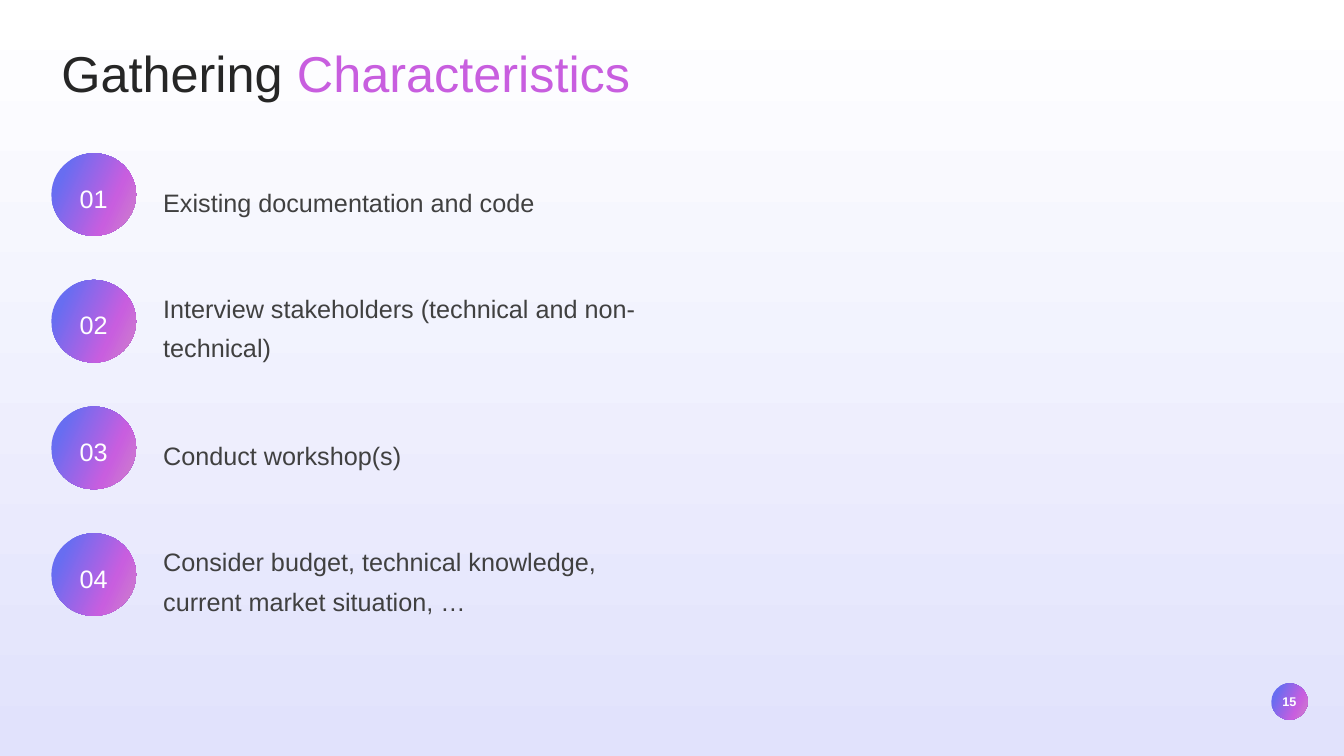
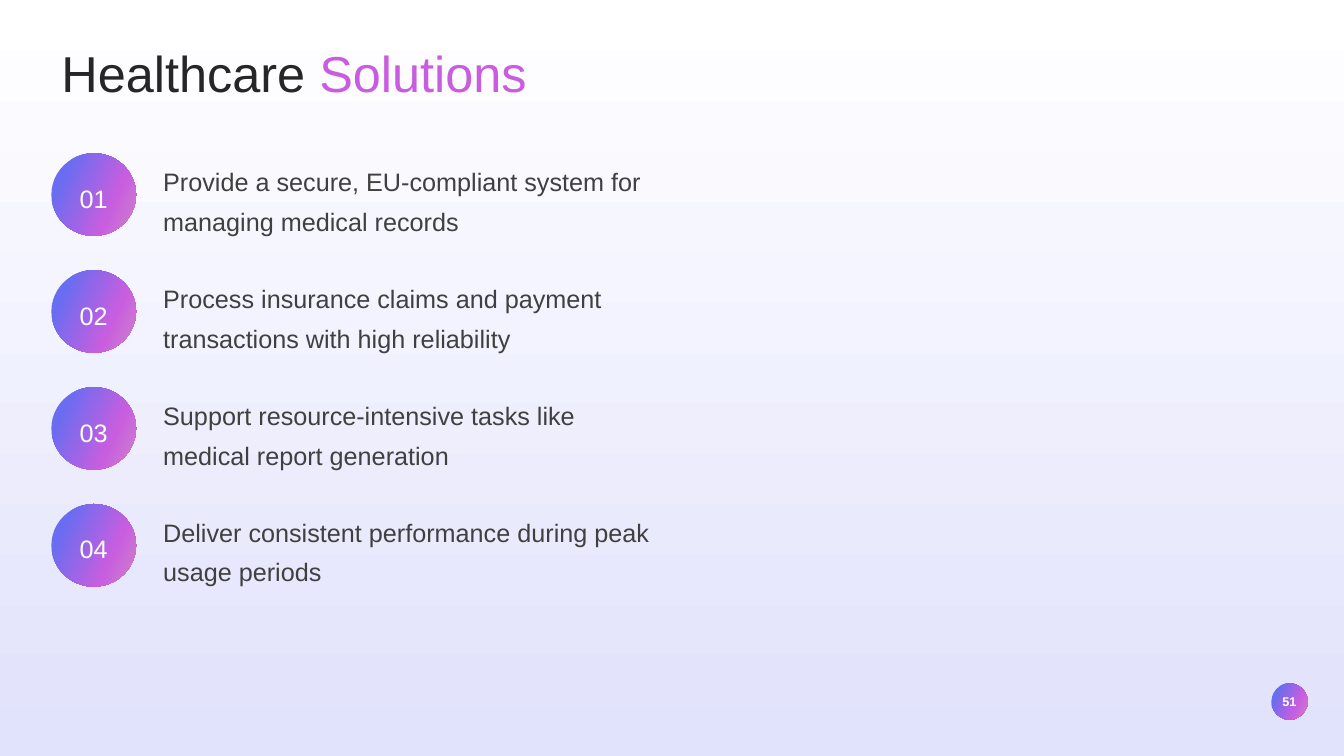
"""Build two slides of numbered points on a soft lilac background."""
from copy import deepcopy

from pptx import Presentation
from pptx.dml.color import RGBColor
from pptx.enum.shapes import MSO_SHAPE as Shape
from pptx.enum.text import MSO_ANCHOR as Anchor, MSO_AUTO_SIZE as AutoSize, PP_ALIGN as Align
from pptx.util import Inches, Pt

COLORS = {
    "title": "262626",
    "body": "404040",
    "light": "FFFFFF",
    "haze": "E1E2FC",
    "blue": "686DF1",
    "deep_blue": "1921EA",
    "orchid": "C85EDF",
    "pink": "CE84CA",
}
BACKGROUND = [(0, "light"), (1, "haze")]
CIRCLE_FILL = [(0.17, "blue"), (0.69, "orchid"), (1, "pink")]
ACCENT_FILL = [(0.17, "deep_blue"), (0.69, "orchid"), (1, "pink")]
FONT = "Arial"

SLIDES = [
    {
        "title": ("Gathering ", "Characteristics"),
        "number": 15,
        "last_top": 5.29,
        "items": [
            ("Existing documentation and code", 1),
            ("Interview stakeholders (technical and non-technical)", 2),
            ("Conduct workshop(s)", 1),
            ("Consider budget, technical knowledge, current market situation, …", 2),
        ],
    },
    {
        "title": ("Healthcare ", "Solutions"),
        "number": 51,
        "last_top": 5,
        "items": [
            ("Provide a secure, EU-compliant system for managing medical records", 2),
            ("Process insurance claims and payment transactions with high reliability", 2),
            ("Support resource-intensive tasks like medical report generation", 2),
            ("Deliver consistent performance during peak usage periods", 2),
        ],
    },
]


def paint_gradient(fill, element, stops, angle):
    """Fill with colour stops; the angle runs counter-clockwise."""
    fill.gradient()
    fill.gradient_angle = angle
    stop_list = element.xpath(".//a:gsLst")[0]
    while len(stop_list) < len(stops):
        stop_list.append(deepcopy(stop_list[-1]))
    for stop, (position, color) in zip(fill.gradient_stops, stops):
        stop.position = position
        stop.color.rgb = RGBColor.from_string(COLORS[color])


def write(para, text, size=18, color="body", bold=False, gradient=None):
    """Add one formatted span to a paragraph."""
    span = para.add_run()
    span.text = text
    span.font.name = FONT
    span.font.size = Pt(size)
    span.font.bold = bold
    if gradient:
        paint_gradient(span.font.fill, span._r, gradient, 335)
    else:
        span.font.color.rgb = RGBColor.from_string(COLORS[color])


class Builder:
    """Hold the deck, its style and the current page."""

    def __init__(self):
        """Start a widescreen deck with the shared background."""
        self.deck = Presentation()
        self.deck.slide_width = Inches(13.33)
        self.deck.slide_height = Inches(7.5)
        self.page = None
        master = self.deck.slide_master
        paint_gradient(master.background.fill, master.element, BACKGROUND, 270)

    def add_page(self, title, number):
        """Add a page with a two-tone title and a number badge."""
        self.page = self.deck.slides.add_slide(self.deck.slide_layouts[5])
        box = self.page.shapes.title
        box.left, box.top = Inches(0.51), Inches(0.37)
        box.width, box.height = Inches(6.51), Inches(0.71)
        frame = box.text_frame
        frame.vertical_anchor = Anchor.TOP
        frame.auto_size = AutoSize.SHAPE_TO_FIT_TEXT
        para = frame.paragraphs[0]
        para.alignment = Align.LEFT
        plain, accent = title
        write(para, plain, size=36, color="title")
        write(para, accent, size=36, gradient=ACCENT_FILL)
        self.add_circle(str(number), 12.61, 6.78, 0.36, 0.36, size=9, bold=True)

    def add_circle(self, text, left, top, width, height, inset_top=0, inset_bottom=0, **style):
        """Add a gradient circle with a centred light label."""
        circle = self.page.shapes.add_shape(
            Shape.OVAL, Inches(left), Inches(top), Inches(width), Inches(height))
        circle.shadow.inherit = False
        circle.line.fill.background()
        paint_gradient(circle.fill, circle._element, CIRCLE_FILL, 335)
        frame = circle.text_frame
        frame.word_wrap = False
        frame.vertical_anchor = Anchor.MIDDLE
        frame.margin_left = frame.margin_right = 0
        frame.margin_top, frame.margin_bottom = Inches(inset_top), Inches(inset_bottom)
        para = frame.paragraphs[0]
        para.alignment = Align.CENTER
        write(para, text, color="light", **style)

    def add_body(self, text, top, height):
        """Add the wrapped text beside a circle."""
        box = self.page.shapes.add_textbox(Inches(1.52), Inches(top), Inches(5.08), Inches(height))
        frame = box.text_frame
        frame.word_wrap = True
        frame.auto_size = AutoSize.SHAPE_TO_FIT_TEXT
        para = frame.paragraphs[0]
        para.line_spacing = 1.3
        para.space_after = Pt(8)
        write(para, text)

    def add_items(self, items, last_top):
        """Spread numbered items evenly down to the last top edge."""
        first_top, circle_height = 1.52, 0.82
        pitch = (last_top - first_top) / (len(items) - 1)
        for index, (text, lines) in enumerate(items):
            top = first_top + index * pitch
            text_height = 0.07 + 0.4 * lines
            self.add_body(text, top + (circle_height - text_height) / 2 + 0.02, text_height)
            self.add_circle(f"{index + 1:02}", 0.51, top, 0.84, circle_height,
                            inset_top=0.12, inset_bottom=0.05)


def main():
    """Build every page and save the deck."""
    builder = Builder()
    for content in SLIDES:
        builder.add_page(content["title"], content["number"])
        builder.add_items(content["items"], content["last_top"])
    builder.deck.save("out.pptx")


if __name__ == "__main__":
    main()
